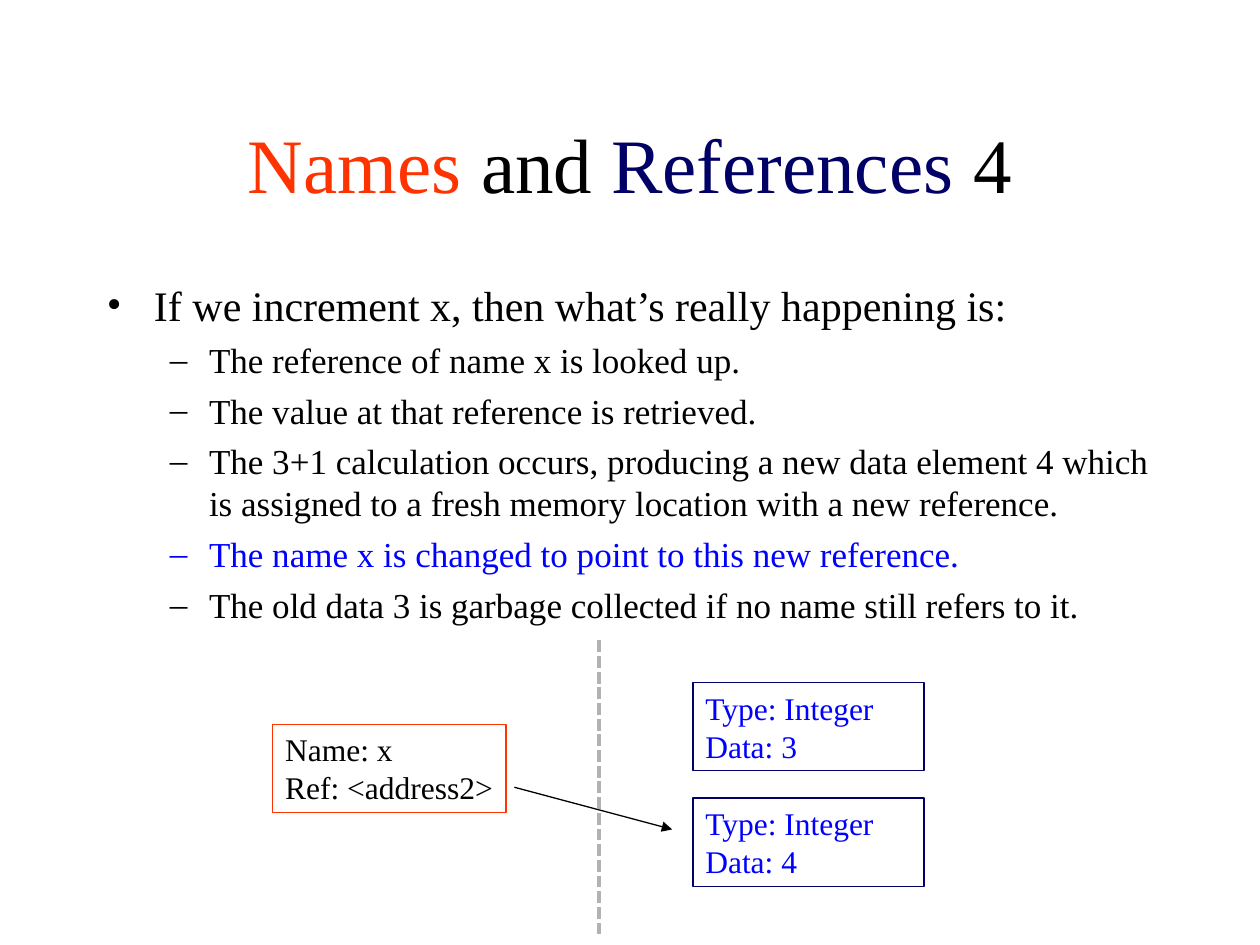
from dataclasses import dataclass

from lxml.etree import SubElement
from pptx import Presentation
from pptx.dml.color import RGBColor
from pptx.enum.dml import MSO_LINE
from pptx.enum.shapes import MSO_CONNECTOR, MSO_SHAPE
from pptx.enum.text import MSO_ANCHOR, MSO_AUTO_SIZE, PP_ALIGN
from pptx.oxml.ns import qn
from pptx.util import Cm, Pt


@dataclass(frozen=True)
class Theme:
    font: str = "Times New Roman"
    black: str = "000000"
    name: str = "FF3300"
    reference: str = "000066"
    highlight: str = "0000FF"
    divider: str = "B2B2B2"
    title_size: int = 44
    level_sizes: tuple = (24, 20)
    box_size: int = 18


theme = Theme()


def add_run(paragraph, text, size, color):
    run = paragraph.add_run()
    run.text = text
    run.font.name = theme.font
    run.font.size = Pt(size)
    run.font.color.rgb = RGBColor.from_string(color)


def add_line(slide, start, end, color, width):
    """Add a straight, shadowless connector and return its line format."""
    connector = slide.shapes.add_connector(MSO_CONNECTOR.STRAIGHT, *start, *end)
    connector.line.color.rgb = RGBColor.from_string(color)
    connector.line.width = Pt(width)
    SubElement(connector._element.spPr, qn("a:effectLst"))
    return connector.line


presentation = Presentation()
presentation.slide_width, presentation.slide_height = Cm(25.4), Cm(19.05)
slide = presentation.slides.add_slide(presentation.slide_layouts[1])

# Title
title = slide.shapes.title
title.left, title.top, title.width, title.height = Cm(1.9), Cm(1.69), Cm(21.59), Cm(3.18)
title.text_frame.vertical_anchor = MSO_ANCHOR.MIDDLE
title.text_frame.auto_size = MSO_AUTO_SIZE.NONE
title_paragraph = title.text_frame.paragraphs[0]
title_paragraph.alignment = PP_ALIGN.CENTER
for text, color in [
    ("Names", theme.name),
    (" and ", theme.black),
    ("References", theme.reference),
    (" 4", theme.black),
]:
    add_run(title_paragraph, text, theme.title_size, color)

# Bulleted steps
body = slide.placeholders[1]
body.left, body.top, body.width, body.height = Cm(1.9), Cm(5.5), Cm(21.59), Cm(11.43)
body.text_frame.auto_size = MSO_AUTO_SIZE.NONE
level_formats = [("•", Cm(0.95), Cm(-0.95), 6), ("–", Cm(2.06), Cm(-0.79), 5)]
steps = [
    (0, "If we increment x, then what’s really happening is:", theme.black),
    (1, "The reference of name x is looked up.", theme.black),
    (1, "The value at that reference is retrieved.", theme.black),
    (1, "The 3+1 calculation occurs, producing a new data element 4 which "
        "is assigned to a fresh memory location with a new reference.", theme.black),
    (1, "The name x is changed to point to this new reference.", theme.highlight),
    (1, "The old data 3 is garbage collected if no name still refers to it.", theme.black),
]
for index, (level, text, color) in enumerate(steps):
    paragraph = body.text_frame.add_paragraph() if index else body.text_frame.paragraphs[0]
    bullet, margin, indent, space_before = level_formats[level]
    paragraph.level = level
    paragraph.space_before = Pt(space_before)
    add_run(paragraph, text, theme.level_sizes[level], color)
    properties = paragraph._p.get_or_add_pPr()
    properties.set("marL", str(margin))
    properties.set("indent", str(indent))
    # Bullets stay black; only the highlighted step's text is blue
    bullet_color = SubElement(properties, qn("a:buClr"))
    SubElement(bullet_color, qn("a:srgbClr"), val=color)
    SubElement(properties, qn("a:buFont"), typeface=theme.font)
    SubElement(properties, qn("a:buChar"), char=bullet)

# Name and data boxes
box_height = Cm(1.78)
for left, top, width, wrap, border, color, lines in [
    (Cm(13.97), Cm(13.76), Cm(4.66), True, theme.reference, theme.highlight,
     ["Type: Integer", "Data: 3"]),
    (Cm(5.5), Cm(14.6), Cm(4.7), False, theme.name, theme.black,
     ["Name: x", "Ref: <address2>"]),
    (Cm(13.97), Cm(16.09), Cm(4.66), True, theme.reference, theme.highlight,
     ["Type: Integer", "Data: 4"]),
]:
    box = slide.shapes.add_shape(MSO_SHAPE.RECTANGLE, left, top, width, box_height)
    box.shadow.inherit = False
    box.fill.background()
    box.line.color.rgb = RGBColor.from_string(border)
    box.line.width = Pt(0.75)
    frame = box.text_frame
    frame.word_wrap = wrap
    frame.auto_size = MSO_AUTO_SIZE.SHAPE_TO_FIT_TEXT
    frame.vertical_anchor = MSO_ANCHOR.TOP
    for index, text in enumerate(lines):
        paragraph = frame.add_paragraph() if index else frame.paragraphs[0]
        paragraph.alignment = PP_ALIGN.LEFT
        add_run(paragraph, text, theme.box_size, color)

# Arrow from the name to its new data, and the dotted divider
arrow = add_line(slide, (Cm(10.37), Cm(15.87)), (Cm(13.55), Cm(16.72)), theme.black, 0.75)
SubElement(arrow._get_or_add_ln(), qn("a:tailEnd"), type="triangle")
divider = add_line(slide, (Cm(12.07), Cm(12.91)), (Cm(12.07), Cm(18.84)), theme.divider, 2.25)
divider.dash_style = MSO_LINE.SQUARE_DOT

presentation.save("out.pptx")
